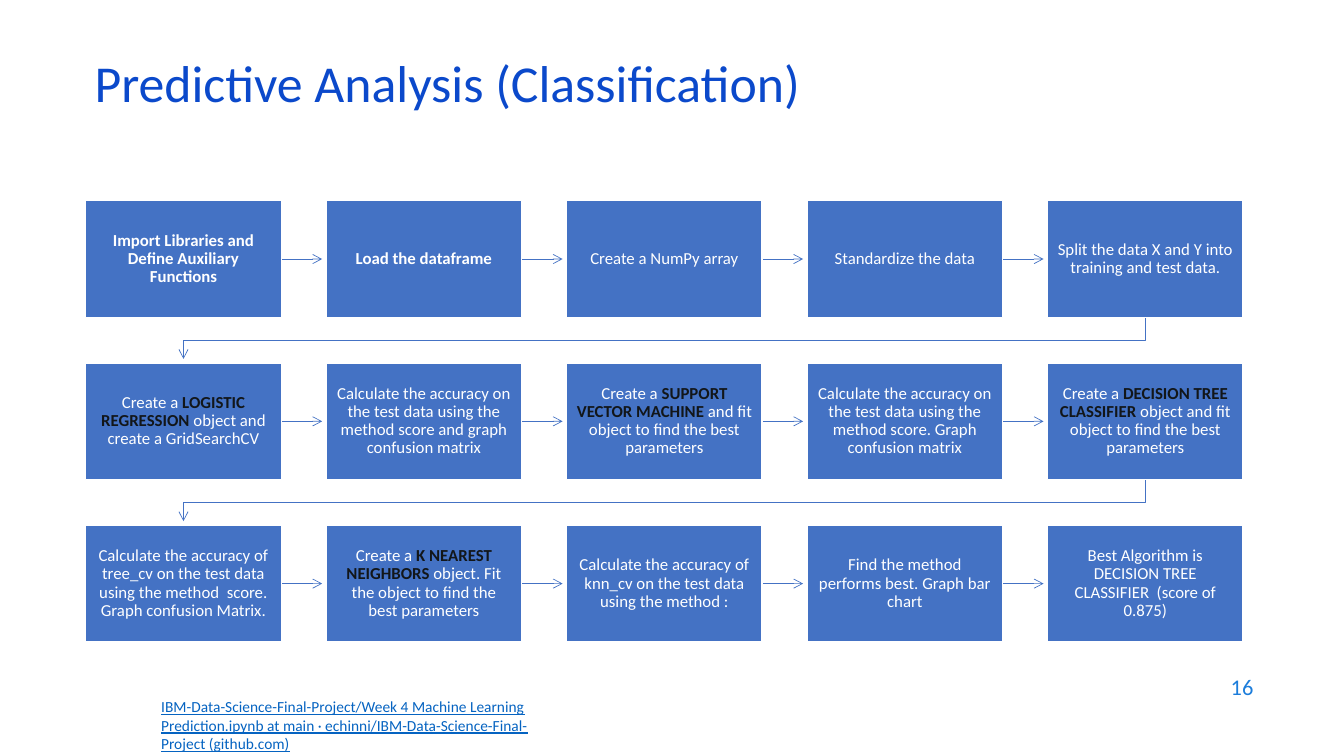
from dataclasses import dataclass

from lxml import etree
from pptx import Presentation
from pptx.dml.color import RGBColor
from pptx.enum.shapes import MSO_CONNECTOR, MSO_SHAPE
from pptx.enum.text import MSO_ANCHOR, PP_ALIGN
from pptx.oxml.ns import qn
from pptx.util import Inches, Pt

RECT = MSO_SHAPE.RECTANGLE
LINE = MSO_CONNECTOR.STRAIGHT
MID, TOP = MSO_ANCHOR.MIDDLE, MSO_ANCHOR.TOP
LEFT, RIGHT, MIDST = PP_ALIGN.LEFT, PP_ALIGN.RIGHT, PP_ALIGN.CENTER


@dataclass(frozen=True)
class Theme:
    font: str = "Calibri"
    blue: str = "4472C4"
    white: str = "FFFFFF"
    dark: str = "121619"
    title: str = "0B49CB"
    page: str = "1C7DDB"
    link: str = "0563C1"
    head: int = 37
    foot: int = 16
    note: int = 11
    body: int = 12
    edge: float = 1
    wire: float = 0.5


@dataclass(frozen=True)
class Grid:
    left: float = 0.85
    top: float = 1.99
    wide: float = 1.94
    high: float = 1.16
    across: float = 2.385
    down: float = 1.61
    gap: float = 0.04
    cols: int = 5

    def spot(self, n: int) -> tuple[float, float]:
        row, col = divmod(n, self.cols)
        return self.left + col * self.across, self.top + row * self.down


@dataclass(frozen=True)
class Step:
    text: str
    key: str = ""
    rest: str = ""
    bold: bool = False


T = Theme()
G = Grid()

STEPS = [
    Step("Import Libraries and Define Auxiliary Functions", bold=True),
    Step("Load the dataframe", bold=True),
    Step("Create a NumPy array"),
    Step("Standardize the data"),
    Step("Split the data X and Y into training and test data."),
    Step("Create a ", "LOGISTIC REGRESSION ", "object and create a GridSearchCV"),
    Step("Calculate the accuracy on the test data using the method score and graph confusion matrix"),
    Step("Create a ", "SUPPORT VECTOR MACHINE ", "and fit object to find the best parameters"),
    Step("Calculate the accuracy on the test data using the method score. Graph confusion matrix"),
    Step("Create a ", "DECISION TREE CLASSIFIER ", "object and fit object to find the best parameters"),
    Step("Calculate the accuracy of tree_cv on the test data using the method  score. Graph confusion Matrix."),
    Step("Create a ", "K NEAREST NEIGHBORS ", "object. Fit the object to find the best parameters"),
    Step("Calculate the accuracy of knn_cv on the test data using the method :"),
    Step("Find the method performs best. Graph bar chart"),
    Step("Best Algorithm is DECISION TREE CLASSIFIER  (score of 0.875)"),
]


def write(shape, text: str, *, size: int, color: str, bold: bool = False,
          under: bool = False, align=LEFT, anchor=MID, lead: float = 1.0) -> None:
    frame = shape.text_frame
    frame.word_wrap = True
    frame.vertical_anchor = anchor
    para = frame.paragraphs[0]
    para.alignment = align
    para.line_spacing = lead
    run = para.add_run()
    run.text = text
    font = run.font
    font.name, font.size = T.font, Pt(size)
    font.bold, font.underline = bold, under
    font.color.rgb = RGBColor.from_string(color)


def label(slide, text: str, area: tuple, **form) -> None:
    box = slide.shapes.add_textbox(*map(Inches, area))
    write(box, text, **form)


def card(slide, step: Step, n: int) -> None:
    x, y = G.spot(n)
    box = slide.shapes.add_shape(RECT, *map(Inches, (x, y, G.wide, G.high)))
    box.shadow.inherit = False
    box.fill.solid()
    box.fill.fore_color.rgb = RGBColor.from_string(T.blue)
    box.line.color.rgb = RGBColor.from_string(T.white)
    box.line.width = Pt(T.edge)
    frame = box.text_frame
    frame.margin_left = frame.margin_right = Inches(0.09)
    frame.margin_top = frame.margin_bottom = Inches(0.09)
    parts = (
        (step.text, T.white, step.bold),
        (step.key, T.dark, True),
        (step.rest, T.white, False),
    )
    for text, color, bold in parts:
        if text:
            write(box, text, size=T.body, color=color, bold=bold,
                  align=MIDST, lead=0.9)


def arrow(shape) -> None:
    shape.line.color.rgb = RGBColor.from_string(T.blue)
    shape.line.width = Pt(T.wire)
    props = shape.element.spPr
    etree.SubElement(props.find(qn("a:ln")), qn("a:tailEnd"), type="arrow")
    etree.SubElement(props, qn("a:effectLst"))


def link(slide, n: int) -> None:
    x, y = G.spot(n)
    nx, ny = G.spot(n + 1)
    if ny == y:
        mid = y + G.high / 2
        ends = (x + G.wide, mid, nx - G.gap, mid)
        arrow(slide.shapes.add_connector(LINE, *map(Inches, ends)))
        return
    start, end = x + G.wide / 2, nx + G.wide / 2
    low = y + G.high
    bend = (low + ny) / 2
    path = [(start, bend), (end, bend), (end, ny - G.gap)]
    pen = slide.shapes.build_freeform(Inches(start), Inches(low))
    pen.add_line_segments([(Inches(a), Inches(b)) for a, b in path], close=False)
    bent = pen.convert_to_shape()
    bent.fill.background()
    arrow(bent)


def main() -> None:
    deck = Presentation()
    deck.slide_width, deck.slide_height = Inches(13.33), Inches(7.5)
    slide = deck.slides.add_slide(deck.slide_layouts[6])
    label(slide, "16", (9.53, 6.59, 3, 0.44),
          size=T.foot, color=T.page, align=RIGHT)
    label(slide, "Predictive Analysis (Classification)", (0.84, 0.59, 11.5, 0.6),
          size=T.head, color=T.title, lead=0.7)
    label(slide, "IBM-Data-Science-Final-Project/Week 4 Machine Learning "
          "Prediction.ipynb at main · echinni/IBM-Data-Science-Final-Project (github.com)",
          (1.5, 6.87, 3.98, 0.66),
          size=T.note, color=T.link, under=True, anchor=TOP)
    for n, step in enumerate(STEPS):
        if n + 1 < len(STEPS):
            link(slide, n)
        card(slide, step, n)
    deck.save("out.pptx")


if __name__ == "__main__":
    main()
